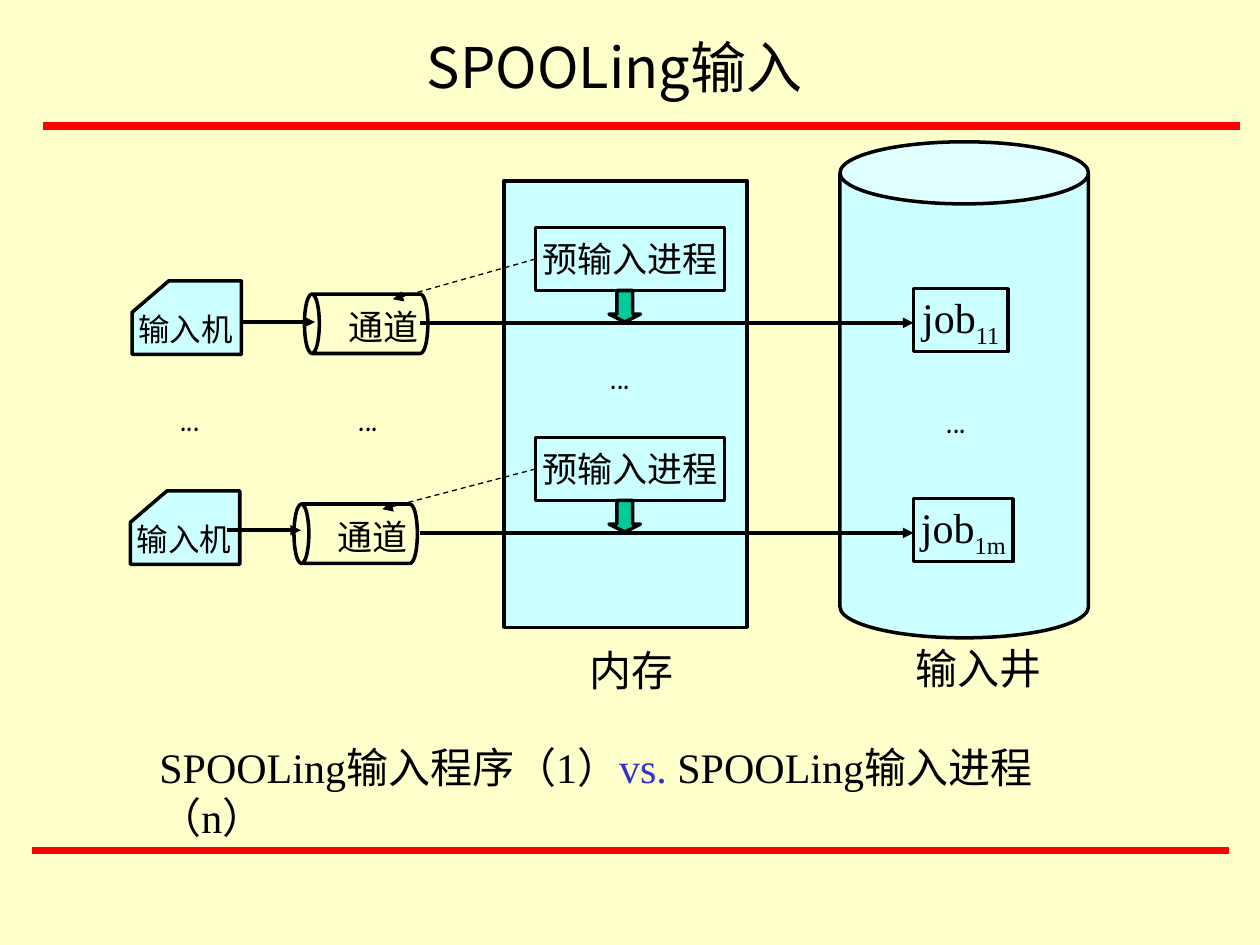
from lxml.etree import SubElement
from pptx import Presentation
from pptx.dml.color import RGBColor
from pptx.enum.dml import MSO_LINE
from pptx.enum.shapes import MSO_CONNECTOR, MSO_SHAPE
from pptx.enum.text import MSO_ANCHOR, PP_ALIGN
from pptx.oxml.ns import qn
from pptx.util import Pt

SERIF, COMIC, SANS = "Times New Roman", "Comic Neue", "Noto Sans CJK SC"
BLACK, PALE, GREEN, RED, BLUE = "000000", "CCFFFF", "00CC99", "FF0000", "3333CC"


def color(code):
    return RGBColor.from_string(code)


def write(frame, parts, size, font=SERIF, align=PP_ALIGN.LEFT,
          anchor=MSO_ANCHOR.TOP, wrap=True):
    margins = {"margin_left": Pt(7.2), "margin_right": Pt(7.2),
               "margin_top": Pt(3.6), "margin_bottom": Pt(3.6)}
    for key, value in {**margins, "word_wrap": wrap,
                       "vertical_anchor": anchor}.items():
        setattr(frame, key, value)
    para = frame.paragraphs[0]
    para.alignment = align
    for text, tint, base in parts:
        run = para.add_run()
        run.text = text
        for key, value in {"size": Pt(size), "name": font}.items():
            setattr(run.font, key, value)
        run.font.color.rgb = color(tint)
        if base:
            run._r.get_or_add_rPr().set("baseline", str(base))


def label(slide, text, x, y, w, h, size=24, font=SERIF):
    box = slide.shapes.add_textbox(Pt(x), Pt(y), Pt(w), Pt(h))
    write(box.text_frame, [(text, BLACK, 0)], size, font)


def style(shape, fill=None):
    shape.shadow.inherit = False
    if fill:
        shape.fill.solid()
        shape.fill.fore_color.rgb = color(fill)
    else:
        shape.fill.background()
    shape.line.color.rgb = color(BLACK)
    shape.line.width = Pt(2)
    return shape


def block(slide, kind, x, y, w, h, fill=None):
    return style(slide.shapes.add_shape(kind, Pt(x), Pt(y), Pt(w), Pt(h)), fill)


def panel(slide, parts, x, y, w, h, size):
    shape = block(slide, MSO_SHAPE.RECTANGLE, x, y, w, h)
    write(shape.text_frame, parts, size, align=PP_ALIGN.CENTER,
          anchor=MSO_ANCHOR.MIDDLE, wrap=False)
    return shape


def link(slide, x1, y1, x2, y2, tint=BLACK, width=2, arrow=True):
    line = slide.shapes.add_connector(
        MSO_CONNECTOR.STRAIGHT, Pt(x1), Pt(y1), Pt(x2), Pt(y2))
    line.line.color.rgb = color(tint)
    line.line.width = Pt(width)
    if arrow:
        SubElement(line.line._get_or_add_ln(), qn("a:tailEnd"), type="triangle")
    SubElement(line._element.spPr, qn("a:effectLst"))
    return line


def reader(slide, x, y, w, h):
    cut = [(21, 0), (w, 0), (w, h), (0, h), (0, 18)]
    points = [(Pt(x + dx), Pt(y + dy)) for dx, dy in cut]
    build = slide.shapes.build_freeform(*points[0], scale=1.0)
    build.add_line_segments(points[1:], close=True)
    style(build.convert_to_shape(), PALE)
    label(slide, "输入机", x - 3.5, y + 13, 72, 29, 18)


def duct(slide, x, y, w, h):
    can = block(slide, MSO_SHAPE.CAN, x + (w - h) / 2, y + (h - w) / 2, h, w)
    can.rotation = 270
    label(slide, "通道", x + 18, y + 3, 66, 32, 20)


def store(slide, x, y, w, h):
    block(slide, MSO_SHAPE.CAN, x, y, w, h, PALE)
    label(slide, "...", x + 54, y + 139, 42, 36, font=COMIC)
    label(slide, "输入井", x + 36, y + h - 1, 96, 36)


def memory(slide, x, y, w, h):
    block(slide, MSO_SHAPE.RECTANGLE, x, y, w, h, PALE)
    label(slide, "...", x + 54, y + 91.5, 48, 36, font=COMIC)
    label(slide, "内存", x + 42, y + h + 6, 72, 36)


def flow(slide, y, job, width, shift, back, start):
    reader(slide, 75.5 - back, y + 30.5, 62.5, 42)
    duct(slide, 174 - shift, y + 38, 70.5, 34)
    task = panel(slide, [("预输入进程", BLACK, 0)], 306, y, 108, 36, 20)
    panel(slide, [("job", BLACK, 0), (job, BLACK, -25000)],
          522, y + 35, width, 36, 24)
    link(slide, start, y + 54 - back, 180 - shift * 4 / 3, y + 54 - back)
    link(slide, 240, y + 54.5, 522, y + 54.5)
    arrow = block(slide, MSO_SHAPE.DOWN_ARROW, 348, y + 36, 18, 18, GREEN)
    arrow.adjustments[1] = 0.25
    dash = link(slide, 306, y + 18, 224.5 - shift, y + 41, width=0.75)
    dash.begin_connect(task, 1)
    dash.line.dash_style = MSO_LINE.DASH


def heading(slide, x, y, w, h):
    title = slide.shapes.title
    sides = {"left": x, "top": y, "width": w, "height": h}
    for key, value in sides.items():
        setattr(title, key, Pt(value))
    write(title.text_frame, [("SPOOLing输入", BLACK, 0)], 32, SANS,
          PP_ALIGN.CENTER, MSO_ANCHOR.MIDDLE)


def caption(slide, x, y, w, h):
    box = slide.shapes.add_textbox(Pt(x), Pt(y), Pt(w), Pt(h))
    write(box.text_frame, [("SPOOLing输入程序（1）", BLACK, 0),
                           ("vs. ", BLUE, 0),
                           ("SPOOLing输入进程（n）", BLACK, 0)], 24)


def main():
    deck = Presentation()
    deck.slide_width, deck.slide_height = Pt(720), Pt(540)
    slide = deck.slides.add_slide(deck.slide_layouts[5])
    slide.background.fill.solid()
    slide.background.fill.fore_color.rgb = color("FFFFCC")
    for x, y in [(18, 486), (24.5, 72)]:
        link(slide, x, y, x + 684, y, RED, 4.5, False)
    heading(slide, 206.5, 15, 289.5, 46)
    store(slide, 480, 81, 142, 283.5)
    memory(slide, 288, 103.5, 139, 255)
    for x in (96, 198):
        label(slide, "...", x, 219, 36, 36, font=COMIC)
    flow(slide, 130, "11", 54, 0, 0, 138)
    flow(slide, 250, "1m", 57, 6, 1, 130)
    caption(slide, 84, 420, 558, 65)
    deck.save("out.pptx")


if __name__ == "__main__":
    main()
